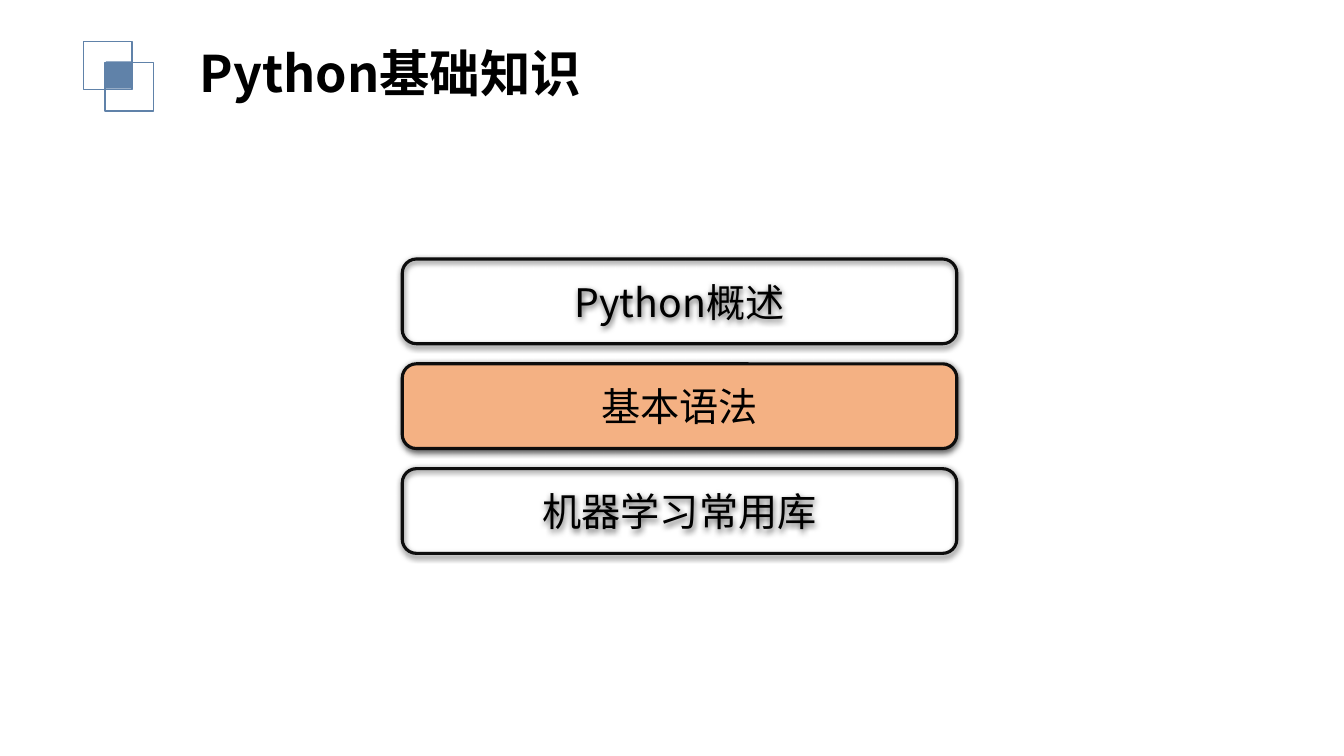
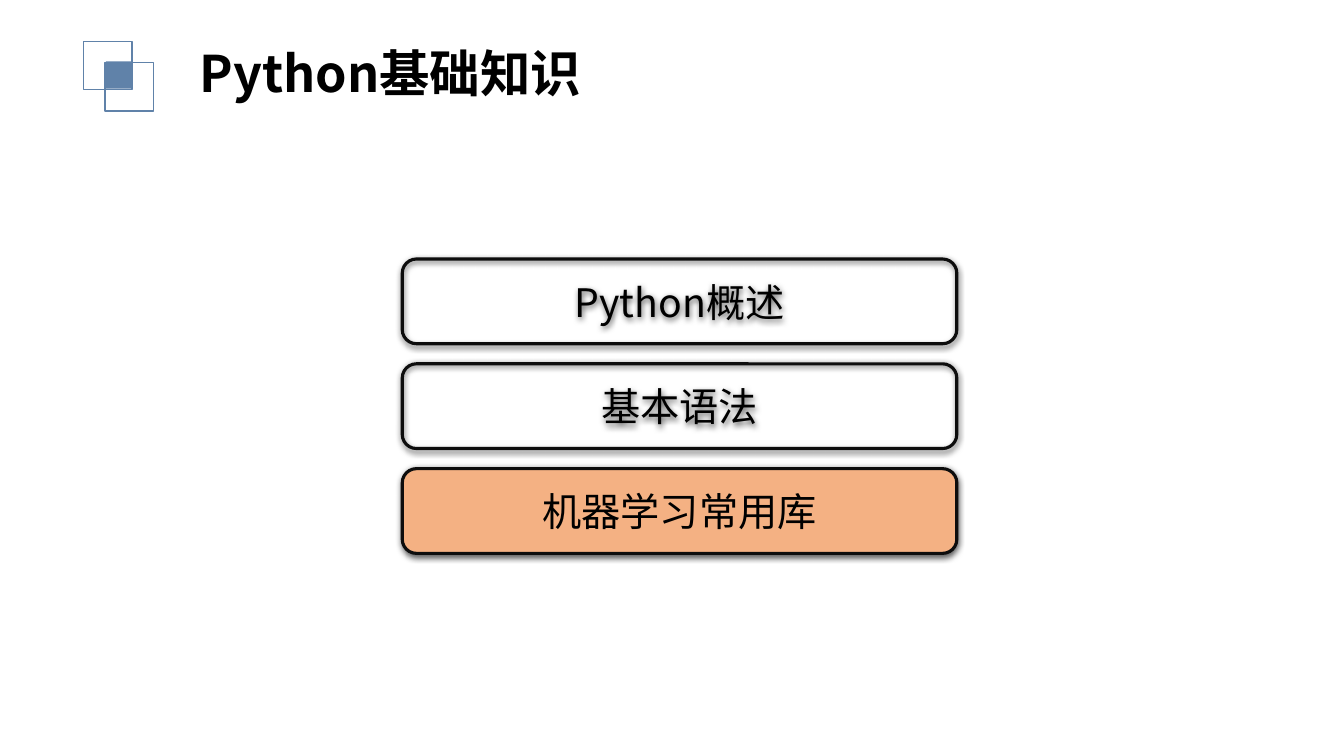
from typing import NamedTuple, Optional

from lxml import etree
from pptx import Presentation
from pptx import util as u
from pptx.dml.color import RGBColor
from pptx.enum import shapes, text
from pptx.oxml.ns import qn

FONT = "Noto Sans CJK SC"
COLORS = {
    "text": "000000",
    "mark": "6082A9",
    "outline": "0D0D0D",
    "current": "F4B183",
    "shadow": "000000",
}
TITLE = "Python基础知识"
TOPICS = ["Python概述", "基本语法", "机器学习常用库"]
CURRENT_TOPICS = [1, 2]

TOPIC_LEFT, TOPIC_TOP = 3.99, 2.57
TOPIC_WIDTH, TOPIC_HEIGHT, TOPIC_PITCH = 5.5, 0.84, 1.04


class Box(NamedTuple):
    left: float
    top: float
    width: float
    height: float

    def emu(self):
        return [u.Inches(v) for v in self]


class MarkSquare(NamedTuple):
    box: Box
    filled: bool


MARK = [
    MarkSquare(Box(0.83, 0.41, 0.48, 0.48), False),
    MarkSquare(Box(1.04, 0.62, 0.48, 0.48), False),
    MarkSquare(Box(1.05, 0.61, 0.25, 0.27), True),
]
TITLE_BOX = Box(1.88, 0.37, 4.57, 0.71)


def rgb(name: str) -> RGBColor:
    return RGBColor.from_string(COLORS[name])


def add_box(slide, kind, box: Box, fill: Optional[str],
            line: Optional[str], width: float = 1):
    sp = slide.shapes.add_shape(kind, *box.emu())
    sp.shadow.inherit = False
    if fill:
        sp.fill.solid()
        sp.fill.fore_color.rgb = rgb(fill)
    else:
        sp.fill.background()
    if line:
        sp.line.color.rgb = rgb(line)
        sp.line.width = u.Pt(width)
    else:
        sp.line.fill.background()
    return sp


def write(tf, words: str, size: float, align, bold: bool = False) -> None:
    p = tf.paragraphs[0]
    p.text = words
    p.alignment = align
    p.font.name = FONT
    p.font.size = u.Pt(size)
    p.font.bold = bold
    p.font.color.rgb = rgb("text")
    latin = p.font._element.find(qn("a:latin"))
    east_asian = etree.Element(qn("a:ea"), typeface=FONT)
    latin.addnext(east_asian)


def add_shadow(sp) -> None:
    """Cast a soft shadow straight down."""
    effects = sp._element.spPr.find(qn("a:effectLst"))
    shadow = etree.SubElement(
        effects, qn("a:outerShdw"), blurRad=str(u.Pt(4.5)),
        dist=str(u.Pt(1.5)), dir="5400000", algn="ctr", rotWithShape="0")
    color = etree.SubElement(shadow, qn("a:srgbClr"), val=COLORS["shadow"])
    etree.SubElement(color, qn("a:alpha"), val="63000")


def add_header(slide) -> None:
    for square in MARK:
        add_box(slide, shapes.MSO_SHAPE.RECTANGLE, square.box,
                "mark" if square.filled else None,
                None if square.filled else "mark")
    title = slide.shapes.title
    title.left, title.top, title.width, title.height = TITLE_BOX.emu()
    tf = title.text_frame
    tf.word_wrap = True
    tf.auto_size = text.MSO_AUTO_SIZE.SHAPE_TO_FIT_TEXT
    tf.vertical_anchor = text.MSO_ANCHOR.TOP
    write(tf, TITLE, 36, text.PP_ALIGN.LEFT, bold=True)


def add_topic(slide, row: int, words: str, current: bool) -> None:
    box = Box(TOPIC_LEFT, TOPIC_TOP + row * TOPIC_PITCH,
              TOPIC_WIDTH, TOPIC_HEIGHT)
    sp = add_box(slide, shapes.MSO_SHAPE.ROUNDED_RECTANGLE, box,
                 "current" if current else None, "outline", 2.25)
    add_shadow(sp)
    tf = sp.text_frame
    tf.word_wrap = True
    tf.vertical_anchor = text.MSO_ANCHOR.MIDDLE
    write(tf, words, 28, text.PP_ALIGN.CENTER)


def main() -> None:
    prs = Presentation()
    prs.slide_width, prs.slide_height = u.Inches(13.33), u.Inches(7.5)
    title_only = prs.slide_layouts[5]
    for current in CURRENT_TOPICS:
        slide = prs.slides.add_slide(title_only)
        add_header(slide)
        for row, words in enumerate(TOPICS):
            add_topic(slide, row, words, row == current)
    prs.save("out.pptx")


if __name__ == "__main__":
    main()
